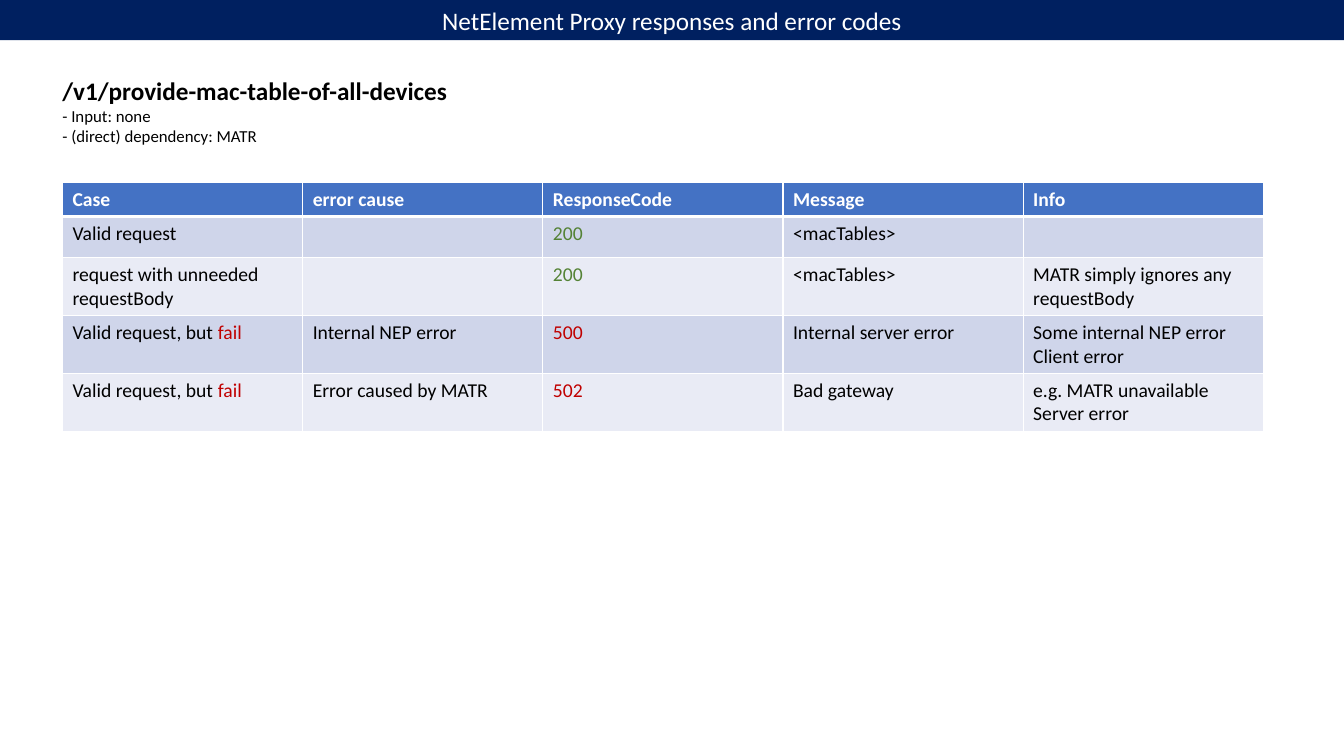
from lxml.etree import SubElement
from pptx import Presentation
from pptx.dml.color import RGBColor
from pptx.enum.shapes import MSO_SHAPE
from pptx.enum.text import MSO_ANCHOR, PP_ALIGN
from pptx.oxml.ns import qn
from pptx.util import Inches, Pt

FONT = "Calibri"
WHITE, BLACK, GREEN, RED = "FFFFFF", "000000", "548235", "C00000"
NAVY, HEADER_BLUE, BANDS = "002060", "4472C4", ("CFD5EA", "E9EBF5")

HEADERS = ["Case", "error cause", "ResponseCode", "Message", "Info"]
FAIL = [("Valid request, but ", BLACK), ("fail", RED)]
# A cell is plain text, or a list of (text, colour) runs
CASES = [
    ["Valid request", "", [("200", GREEN)], "<macTables>", ""],
    ["request with unneeded requestBody", "", [("200", GREEN)], "<macTables>",
     "MATR simply ignores any requestBody"],
    [FAIL, "Internal NEP error", [("500", RED)], "Internal server error",
     "Some internal NEP error\nClient error"],
    [FAIL, "Error caused by MATR", [("502", RED)], "Bad gateway",
     "e.g. MATR unavailable\nServer error"],
]
ROW_HEIGHTS = [0.33, 0.41, 0.57, 0.57, 0.57]


def rgb(value):
    return RGBColor.from_string(value)


def style(p, size, color, bold=False):
    font = p.font
    font.name, font.size, font.bold = FONT, Pt(size), bold
    font.color.rgb = rgb(color)


def add_title_bar(slide, x, y, w, h):
    sp = slide.shapes.add_shape(MSO_SHAPE.RECTANGLE, Inches(x), Inches(y),
                                Inches(w), Inches(h))
    sp.shadow.inherit = False
    sp.fill.solid()
    sp.fill.fore_color.rgb = rgb(NAVY)
    sp.line.fill.background()
    tf = sp.text_frame
    tf.vertical_anchor = MSO_ANCHOR.MIDDLE
    p = tf.paragraphs[0]
    p.text = "NetElement Proxy responses and error codes"
    p.alignment = PP_ALIGN.CENTER
    style(p, 18, WHITE)


def add_endpoint(slide, x, y, w, h):
    sp = slide.shapes.add_textbox(Inches(x), Inches(y), Inches(w), Inches(h))
    tf = sp.text_frame
    tf.word_wrap = False
    tf.text = ("/v1/provide-mac-table-of-all-devices\n"
               "- Input: none\n- (direct) dependency: MATR")
    heading, *details = tf.paragraphs
    style(heading, 18, BLACK, bold=True)
    for p in details:
        style(p, 12, BLACK)


def set_borders(cell, widths):
    """Draw white borders; widths maps a side (L, R, T, B) to points."""
    tcPr = cell._tc.get_or_add_tcPr()
    for side, width in widths.items():
        ln = SubElement(tcPr, qn(f"a:ln{side}"), w=str(Pt(width)))
        fill = SubElement(ln, qn("a:solidFill"))
        SubElement(fill, qn("a:srgbClr"), val=WHITE)


def fill_cell(cell, content, fill, color, is_header):
    set_borders(cell, {"L": 1, "R": 1, "T": 1, "B": 3 if is_header else 1})
    cell.fill.solid()
    cell.fill.fore_color.rgb = rgb(fill)
    tf = cell.text_frame
    if isinstance(content, str):
        tf.text = content
    else:
        for text, run_color in content:
            r = tf.paragraphs[0].add_run()
            r.text = text
            r.font.color.rgb = rgb(run_color)
    for p in tf.paragraphs:
        style(p, 14, color, bold=is_header)


def add_response_table(slide, x, y, w):
    rows = [HEADERS] + CASES
    table = slide.shapes.add_table(
        len(rows), len(HEADERS), Inches(x), Inches(y), Inches(w),
        Inches(sum(ROW_HEIGHTS))).table
    for column in table.columns:
        column.width = Inches(w / len(HEADERS))
    for i, (row, height) in enumerate(zip(rows, ROW_HEIGHTS)):
        table.rows[i].height = Inches(height)
        is_header = i == 0
        fill = HEADER_BLUE if is_header else BANDS[(i - 1) % 2]
        color = WHITE if is_header else BLACK
        for j, content in enumerate(row):
            fill_cell(table.cell(i, j), content, fill, color, is_header)


def main():
    prs = Presentation()
    prs.slide_width, prs.slide_height = Inches(13.33), Inches(7.5)
    slide = prs.slides.add_slide(prs.slide_layouts[6])
    add_title_bar(slide, 0, 0, 13.33, 0.4)
    add_response_table(slide, 0.62, 1.81, 11.91)
    add_endpoint(slide, 0.52, 0.7, 4.05, 0.81)
    prs.save("out.pptx")


if __name__ == "__main__":
    main()
